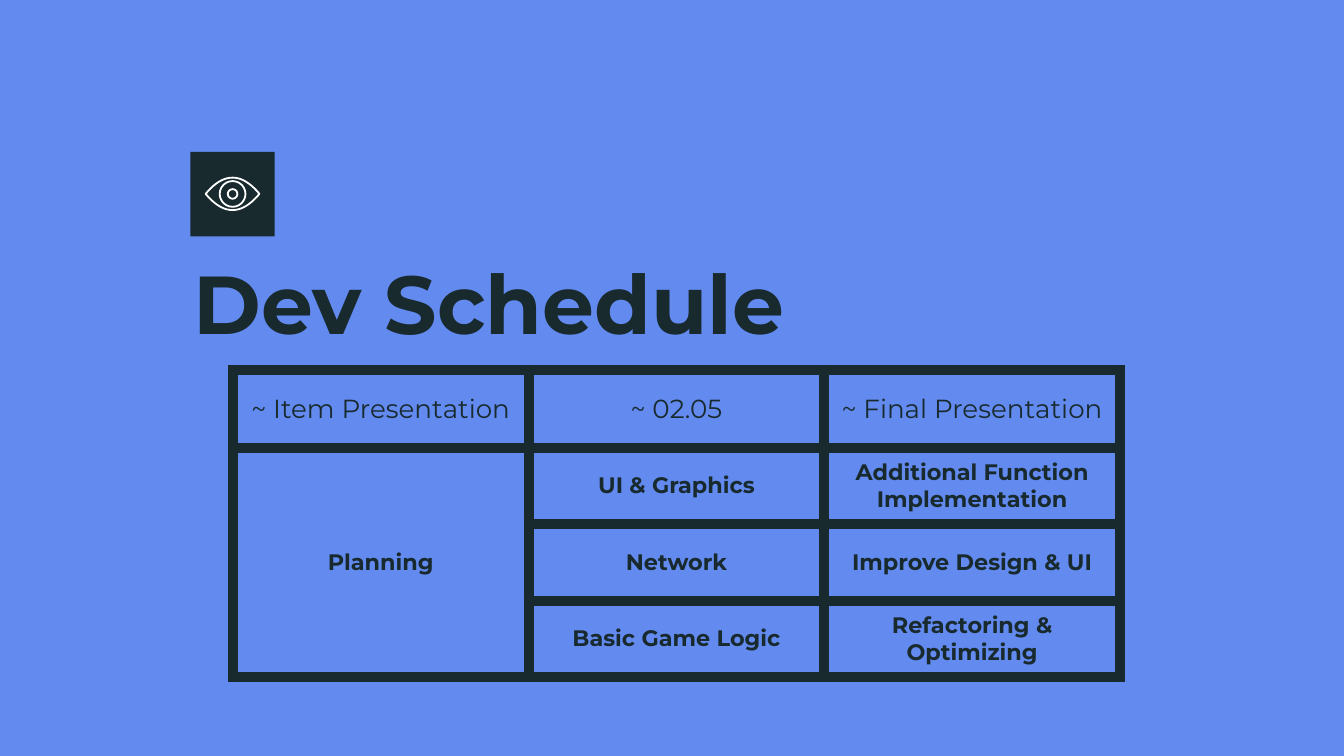
"""Build the development schedule slide with its eye icon, title and table."""
import dataclasses

import lxml.etree
import pptx
import pptx.dml.color
import pptx.enum.shapes
import pptx.enum.text
import pptx.oxml
import pptx.oxml.ns
import pptx.util

Pt = pptx.util.Pt


@dataclasses.dataclass(frozen=True)
class Theme:
    font: str = "Montserrat"
    background: str = "628AEF"
    ink: str = "182A2E"
    icon: str = "FFFFFF"
    title_size: int = 44
    header_size: int = 14
    body_size: int = 12
    border_width: int = 6
    icon_width: float = 0.96


theme = Theme()
ink = pptx.dml.color.RGBColor.from_string(theme.ink)
icon_color = pptx.dml.color.RGBColor.from_string(theme.icon)


def format_text(text_frame, size, bold, alignment):
    for paragraph in text_frame.paragraphs:
        paragraph.alignment = alignment
        for run in paragraph.runs:
            run.font.name = theme.font
            run.font.size = Pt(size)
            run.font.bold = bold
            run.font.color.rgb = ink


def add_borders(cell):
    properties = cell._tc.get_or_add_tcPr()
    for position, side in enumerate(("lnL", "lnR", "lnT", "lnB")):
        border = pptx.oxml.parse_xml(
            f'<a:{side} {pptx.oxml.ns.nsdecls("a")} w="{Pt(theme.border_width)}">'
            f'<a:solidFill><a:srgbClr val="{theme.ink}"/></a:solidFill></a:{side}>'
        )
        properties.insert(position, border)


presentation = pptx.Presentation()
presentation.slide_width = Pt(720)
presentation.slide_height = Pt(405)
slide = presentation.slides.add_slide(presentation.slide_layouts[5])
slide.background.fill.solid()
slide.background.fill.fore_color.rgb = pptx.dml.color.RGBColor.from_string(theme.background)

square = slide.shapes.add_shape(
    pptx.enum.shapes.MSO_SHAPE.RECTANGLE, Pt(102), Pt(81.4), Pt(45.2), Pt(45.2)
)
square.shadow.inherit = False
square.fill.solid()
square.fill.fore_color.rgb = ink
square.line.fill.background()

title = slide.shapes.title
title.left, title.top, title.width, title.height = Pt(96.5), Pt(128.2), Pt(536.4), Pt(152)
title_frame = title.text_frame
title_frame.text = "Dev Schedule"
title_frame.word_wrap = True
title_frame.auto_size = pptx.enum.text.MSO_AUTO_SIZE.NONE
title_frame.vertical_anchor = pptx.enum.text.MSO_ANCHOR.TOP
title_frame.margin_left = title_frame.margin_right = Pt(7.2)
title_frame.margin_top = title_frame.margin_bottom = Pt(7.2)
format_text(title_frame, theme.title_size, True, pptx.enum.text.PP_ALIGN.LEFT)

schedule = [
    ["~ Item Presentation", "~ 02.05", "~ Final Presentation"],
    ["Planning", "UI & Graphics", "Additional Function Implementation"],
    ["", "Network", "Improve Design & UI"],
    ["", "Basic Game Logic", "Refactoring & Optimizing"],
]
table = slide.shapes.add_table(4, 3, Pt(124.8), Pt(198), Pt(475.2), Pt(164.8)).table
for column in table.columns:
    column.width = Pt(158.4)
for row_index, texts in enumerate(schedule):
    is_header = row_index == 0
    table.rows[row_index].height = Pt(41.8 if is_header else 41)
    for column_index, text in enumerate(texts):
        cell = table.cell(row_index, column_index)
        cell.text_frame.text = text
        cell.fill.background()
        cell.vertical_anchor = pptx.enum.text.MSO_ANCHOR.MIDDLE
        cell.margin_left = cell.margin_right = Pt(7.2)
        cell.margin_top = cell.margin_bottom = Pt(5)
        add_borders(cell)
        size = theme.header_size if is_header else theme.body_size
        format_text(cell.text_frame, size, not is_header, pptx.enum.text.PP_ALIGN.CENTER)
table.cell(1, 0).merge(table.cell(3, 0))

center_x, center_y = 124.6, 103.9
half_width, half_height = 14.4, 8.7
steps = [step / 10 for step in range(-10, 11)]
upper_lid = [(t, t * t - 1) for t in steps]
lower_lid = [(t, 1 - t * t) for t in reversed(steps)]
outline = [
    (Pt(center_x + half_width * x), Pt(center_y + half_height * y))
    for x, y in upper_lid + lower_lid[1:-1]
]
builder = slide.shapes.build_freeform(*outline[0])
builder.add_line_segments(outline[1:], close=True)
eye_parts = [builder.convert_to_shape()]
for radius in (2.6, 6.9):
    eye_parts.append(slide.shapes.add_shape(
        pptx.enum.shapes.MSO_SHAPE.OVAL,
        Pt(center_x - radius), Pt(center_y - radius), Pt(2 * radius), Pt(2 * radius),
    ))
for shape in eye_parts:
    shape.shadow.inherit = False
    shape.fill.background()
    shape.line.color.rgb = icon_color
    shape.line.width = Pt(theme.icon_width)

presentation.save("out.pptx")
